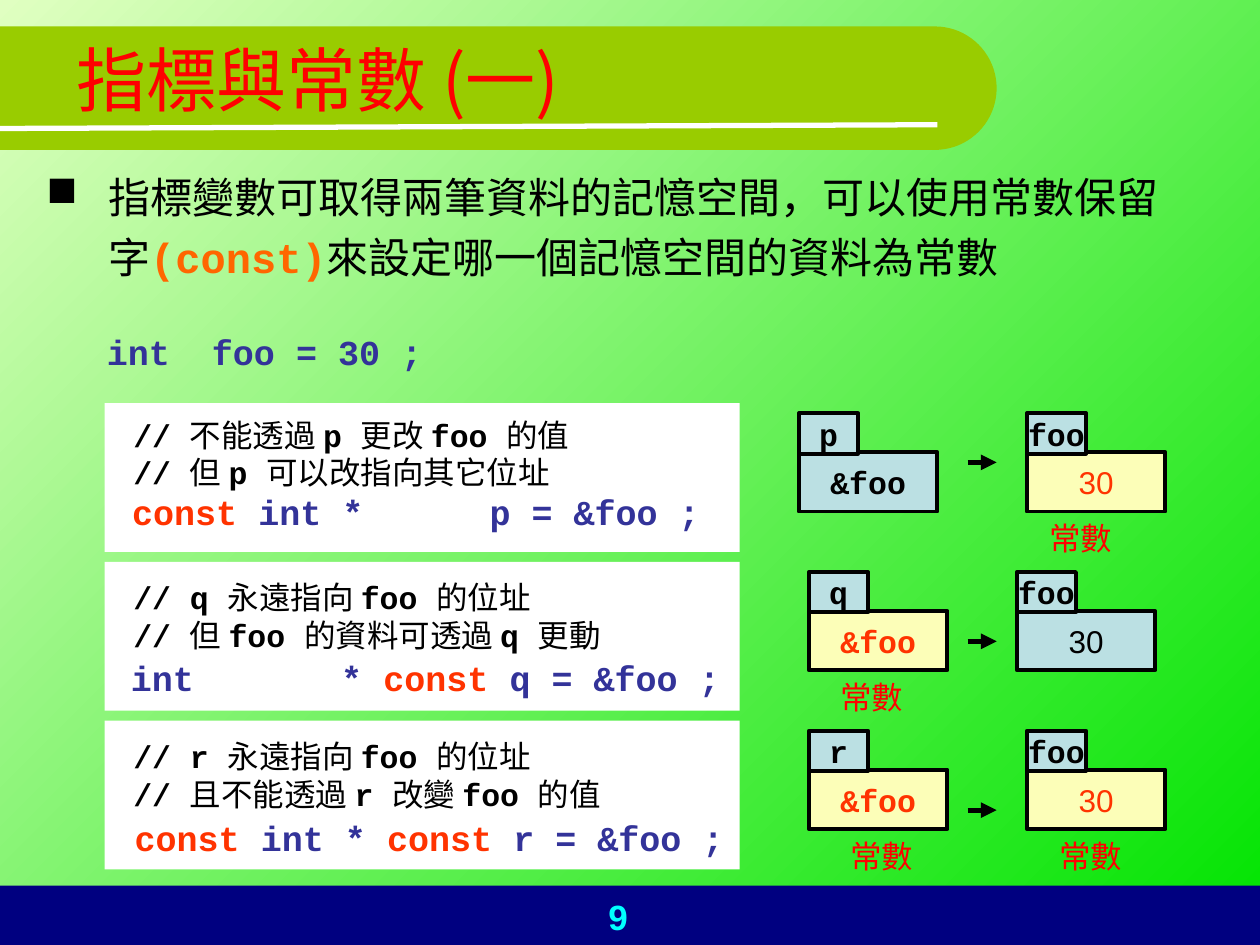
from math import cos, pi, sin

from lxml import etree
from pptx import Presentation
from pptx.dml.color import RGBColor
from pptx.enum.shapes import MSO_CONNECTOR, MSO_SHAPE
from pptx.enum.text import MSO_ANCHOR, PP_ALIGN
from pptx.oxml.ns import qn
from pptx.util import Inches, Pt

RECTANGLE, STRAIGHT = MSO_SHAPE.RECTANGLE, MSO_CONNECTOR.STRAIGHT
LEFT, CENTER = PP_ALIGN.LEFT, PP_ALIGN.CENTER
TOP, MIDDLE = MSO_ANCHOR.TOP, MSO_ANCHOR.MIDDLE
rgb = RGBColor.from_string

CODE, SANS, CJK = "Courier New", "Arial", "Noto Sans CJK SC"
BLACK, WHITE, RED = "000000", "FFFFFF", "FF0000"
KEYWORD, STATEMENT = "FF3300", "333399"
VARIABLE_FILL, CONSTANT_FILL = "BBE0E3", "FCFEB8"


def write(shape, runs, size, align=LEFT, anchor=TOP, wrap=True):
    """Fill a shape with one paragraph of (text, font, colour, bold) runs."""
    frame = shape.text_frame
    frame.word_wrap = wrap
    frame.vertical_anchor = anchor
    paragraph = frame.paragraphs[0]
    paragraph.alignment = align
    for text, font, color, bold in runs:
        if text == "\n":
            paragraph.add_line_break()
            continue
        run = paragraph.add_run()
        run.text = text
        run.font.size = Pt(size)
        run.font.bold = bold
        run.font.color.rgb = rgb(color)
        run.font.name = font
        east_asian = etree.SubElement(run.font._element, qn("a:ea"))
        east_asian.set("typeface", CJK)
    return paragraph


def add_box(left, top, width, height, fill=None, outline=None):
    """Add a filled rectangle, or a text box when there is no fill."""
    area = Inches(left), Inches(top), Inches(width), Inches(height)
    if fill is None:
        return shapes.add_textbox(*area)
    box = shapes.add_shape(RECTANGLE, *area)
    box.shadow.inherit = False
    box.fill.solid()
    box.fill.fore_color.rgb = rgb(fill)
    if outline:
        box.line.color.rgb = rgb(outline)
        box.line.width = Pt(2.25)
    else:
        box.line.fill.background()
    return box


prs = Presentation()
prs.slide_width, prs.slide_height = Inches(10), Inches(7.5)
slide = prs.slides.add_slide(prs.slide_layouts[5])
shapes = slide.shapes

# Background, footer bar and title band
background = slide.background.fill
background.gradient()
background.gradient_angle = 135
for stop, color in zip(background.gradient_stops, ("00E400", "E0FFC1")):
    stop.color.rgb = rgb(color)
add_box(0, 7.03, 10, 0.47, "000080")

band_top, radius, arc_center = 0.21, 0.49, 7.42
arc_angles = [-pi / 2 + pi * step / 40 for step in range(41)]
arc = [(Inches(arc_center + radius * cos(angle)),
        Inches(band_top + radius + radius * sin(angle))) for angle in arc_angles]
outline = shapes.build_freeform(0, Inches(band_top))
outline.add_line_segments(arc + [(0, Inches(band_top + 2 * radius))], close=True)
band = outline.convert_to_shape()
band.shadow.inherit = False
band.fill.solid()
band.fill.fore_color.rgb = rgb("99CC00")
band.line.fill.background()

# Title underline and the arrows from pointer to target
lines = [(0, 1.02, 7.44, 0.99, WHITE)]
lines += [(7.68, y, 7.91, y, BLACK) for y in (3.67, 5.09, 6.43)]
for x1, y1, x2, y2, color in lines:
    line = shapes.add_connector(STRAIGHT, Inches(x1), Inches(y1), Inches(x2), Inches(y2))
    line.line.color.rgb = rgb(color)
    line.line.width = Pt(3)
    if color == BLACK:
        etree.SubElement(line.line._get_or_add_ln(), qn("a:tailEnd")).set("type", "triangle")
    etree.SubElement(line._element.spPr, qn("a:effectLst"))

title = shapes.title
title.left, title.top, title.width, title.height = Inches(0.51), 0, Inches(9), Inches(1.25)
write(title, [("指標與常數 ", SANS, RED, False), ("(一)", CJK, RED, False)], 40, anchor=MIDDLE)
shapes._spTree.append(title._element)  # in front of the band

# Introduction
introduction = write(add_box(0.27, 1.23, 9.21, 1.26), [
    ("指標變數可取得兩筆資料的記憶空間，可以使用常數", CODE, BLACK, False),
    ("保留字", CJK, BLACK, False),
    ("(const)", CODE, "FF6600", True),
    ("來設定哪一個記憶空間的資料為常數", CODE, BLACK, False),
], 24)
introduction.line_spacing = 1.2
properties = introduction._p.get_or_add_pPr()
properties.set("marL", str(Inches(0.49)))
properties.set("indent", str(Inches(-0.49)))
bullet_color = etree.SubElement(properties, qn("a:buClr"))
etree.SubElement(bullet_color, qn("a:srgbClr")).set("val", BLACK)
etree.SubElement(properties, qn("a:buChar")).set("char", "■")

write(add_box(0.75, 2.57, 3.07, 0.44), [("int  foo = 30 ;", CODE, STATEMENT, True)], 20)

# Code panels: comment pieces, then statement pieces with their left and top
ROW_STEP = 1.26
panels = [
    (3.25, ["// ", "不能透過 ", "p ", "更改 ", "foo ", "的值", "\n",
            "// ", "但 ", "p ", "可以改指向其它位址"],
     0.95, 3.84, ["const", " int *      p = &foo ;"]),
    (4.54, ["// q ", "永遠指向 ", "foo ", "的位址", "\n",
            "// ", "但 ", "foo ", "的資料可透過 ", "q ", "更動"],
     0.94, 5.16, ["int       * ", "const", " q = &foo ;"]),
    (5.8, ["// r ", "永遠指向 ", "foo ", "的位址", "\n",
           "// ", "且不能透過 ", "r ", "改變 ", "foo ", "的值"],
     0.97, 6.43, ["const", " int * ", "const", " r = &foo ;"]),
]
for row, (comment_top, comment, code_left, code_top, code) in enumerate(panels):
    add_box(0.83, 3.2 + row * ROW_STEP, 5.04, 1.18, WHITE)
    write(add_box(0.96, comment_top, 4.33, 0.7),
          [(text, CODE, BLACK, text.isascii()) for text in comment], 18)
    write(add_box(code_left, code_top, 5.2, 0.44),
          [(text, CODE, KEYWORD if text == "const" else STATEMENT, True) for text in code], 20)

# Memory cells: name, value, value font, left, left of the constant caption
memory_rows = [
    [("p", "&foo", CODE, 6.34, None), ("foo", "30", SANS, 8.15, 8.23)],
    [("q", "&foo", CODE, 6.42, 6.57), ("foo", "30", SANS, 8.07, None)],
    [("r", "&foo", CODE, 6.42, 6.65), ("foo", "30", SANS, 8.15, 8.31)],
]
for row, cells in enumerate(memory_rows):
    top = 3.28 + row * ROW_STEP
    for name, value, font, left, caption_left in cells:
        constant = caption_left is not None
        value_box = add_box(left, top + 0.31, 1.1, 0.47,
                            CONSTANT_FILL if constant else VARIABLE_FILL, BLACK)
        write(value_box, [(value, font, KEYWORD if constant else BLACK, font == CODE)],
              18, CENTER, MIDDLE, wrap=False)
        name_box = add_box(left, top, 0.47, 0.32, VARIABLE_FILL, BLACK)
        write(name_box, [(name, CODE, BLACK, True)], 18, CENTER, MIDDLE, wrap=False)
        if constant:
            write(add_box(caption_left, top + 0.79, 0.71, 0.4),
                  [("常數", SANS, RED, False)], 18)

write(add_box(3.74, 7.06, 2.33, 0.4), [("9", SANS, "00FFFF", True)], 20, CENTER)

prs.save("out.pptx")
